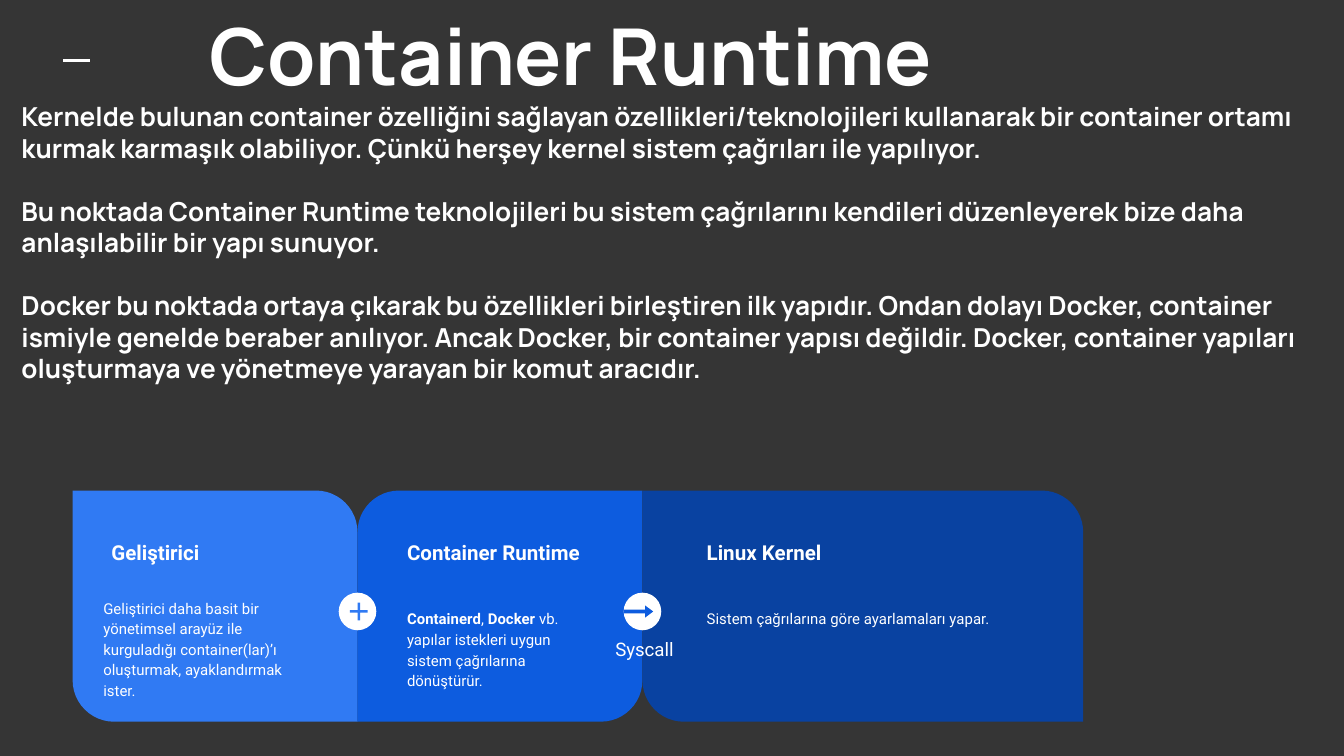
from itertools import accumulate

from lxml import etree
from pptx import Presentation
from pptx.dml.color import RGBColor
from pptx.enum.shapes import MSO_CONNECTOR, MSO_SHAPE
from pptx.enum.text import MSO_ANCHOR, MSO_AUTO_SIZE, PP_ALIGN
from pptx.oxml.ns import qn
from pptx.util import Inches, Pt

STRAIGHT = MSO_CONNECTOR.STRAIGHT
CARD = MSO_SHAPE.ROUND_2_DIAG_RECTANGLE
CIRCLE = MSO_SHAPE.OVAL
ARROW = MSO_SHAPE.RIGHT_ARROW
PLUS = MSO_SHAPE.MATH_PLUS
TOP = MSO_ANCHOR.TOP
LEFT = PP_ALIGN.LEFT
NO_AUTOFIT = MSO_AUTO_SIZE.NONE

WHITE, CHARCOAL = "FFFFFF", "353535"
LIGHT_BLUE, MID_BLUE, NAVY = "307AF3", "0D5CDF", "0942A1"

SLIDE_WIDTH = 10
SLIDE_HEIGHT = SLIDE_WIDTH * 9 / 16
CARDS_LEFT, CARDS_TOP, CARD_HEIGHT = 0.54, 3.65, 1.72
CARD_WIDTHS = (2.12, 2.12, 3.28)
CARD_LEFTS = list(accumulate(CARD_WIDTHS[:-1], initial=CARDS_LEFT))
HEADING_TOP = 3.92
BADGE_MIDDLE, BADGE_SIZE = 4.55, 0.28
ROUNDING = 0.18

HEADING = "Container Runtime"
EXPLANATION = (
    "Kernelde bulunan container özelliğini sağlayan özellikleri/teknolojileri kullanarak bir "
    "container ortamı kurmak karmaşık olabiliyor. Çünkü herşey kernel sistem çağrıları ile yapılıyor.",
    "Bu noktada Container Runtime teknolojileri bu sistem çağrılarını kendileri düzenleyerek "
    "bize daha anlaşılabilir bir yapı sunuyor.",
    "Docker bu noktada ortaya çıkarak bu özellikleri birleştiren ilk yapıdır. Ondan dolayı Docker, "
    "container ismiyle genelde beraber anılıyor. Ancak Docker, bir container yapısı değildir. "
    "Docker, container yapıları oluşturmaya ve yönetmeye yarayan bir komut aracıdır.",
)

STAGES = (
    dict(color=LIGHT_BLUE, corners=(0, ROUNDING), heading="Geliştirici",
         heading_box=(0.73, 1.64), detail_box=(0.67, 4.34, 1.78),
         detail=[("Geliştirici daha basit bir yönetimsel arayüz ile kurguladığı "
                  "container(lar)’ı oluşturmak, ayaklandırmak ister.", False)]),
    dict(color=MID_BLUE, corners=(ROUNDING, 0), heading="Container Runtime",
         heading_box=(2.93, 1.59), detail_box=(2.93, 4.42, 1.59),
         detail=[("Containerd", True), (", ", False), ("Docker ", True),
                 ("vb. yapılar istekleri uygun sistem çağrılarına dönüştürür.", False)]),
    dict(color=NAVY, corners=(0, ROUNDING), heading="Linux Kernel",
         heading_box=(5.16, 2.64), detail_box=(5.16, 4.42, 2.64),
         detail=[("Sistem çağrılarına göre ayarlamaları yapar.", False)]),
)


def rgb(value):
    """Turn a hex string into a colour."""
    return RGBColor.from_string(value)


def write(paragraph, runs, size, font="Roboto", color=WHITE, spacing=1.0, before=0, indent=0):
    """Fill a paragraph with (text, bold) runs in one format."""
    properties = paragraph._p.get_or_add_pPr()
    properties.set("marL", str(Inches(indent)))
    properties.set("indent", "0")
    paragraph.alignment = LEFT
    paragraph.line_spacing = spacing
    paragraph.space_before = Pt(before)
    for text, bold in runs:
        run = paragraph.add_run()
        run.text = text
        run.font.name, run.font.size, run.font.bold = font, Pt(size), bold
        run.font.color.rgb = rgb(color)


def prepare_frame(frame):
    """Give a text frame wrapping, top anchoring and even insets."""
    frame.word_wrap = True
    frame.auto_size = NO_AUTOFIT
    frame.vertical_anchor = TOP
    frame.margin_left = frame.margin_right = Inches(0.1)
    frame.margin_top = frame.margin_bottom = Inches(0.1)


def add_label(slide, left, top, width, height, runs, size, **style):
    """Add a one-paragraph text box."""
    box = slide.shapes.add_textbox(*map(Inches, (left, top, width, height)))
    prepare_frame(box.text_frame)
    write(box.text_frame.paragraphs[0], runs, size, **style)


def add_solid(slide, kind, left, top, width, height, color, adjustments=()):
    """Add a flat filled shape without outline."""
    shape = slide.shapes.add_shape(kind, *map(Inches, (left, top, width, height)))
    shape.shadow.inherit = False
    shape.fill.solid()
    shape.fill.fore_color.rgb = rgb(color)
    shape.line.fill.background()
    for index, value in enumerate(adjustments):
        shape.adjustments[index] = value


def add_dash(slide):
    """Add the short accent line beside the title."""
    dash = slide.shapes.add_connector(STRAIGHT, *map(Inches, (0.47, 0.45, 0.67, 0.45)))
    dash.line.color.rgb = rgb(WHITE)
    dash.line.width = Pt(1.5)
    etree.SubElement(dash._element.spPr, qn("a:effectLst"))


def fill_title(slide):
    """Put the heading and the explanation into the title placeholder."""
    title = slide.shapes.title
    title.left, title.top, title.width, title.height = map(Inches, (0.06, -0.05, 9.87, 3.12))
    frame = title.text_frame
    prepare_frame(frame)
    write(frame.paragraphs[0], [(HEADING, True)], 42, font="Manrope", indent=1.4)
    for index, text in enumerate(EXPLANATION):
        write(frame.add_paragraph(), [(text, True)], 14, font="Manrope", before=17 if index else 0)


def add_stage(slide, left, width, stage):
    """Add one card with its heading and detail."""
    add_solid(slide, CARD, left, CARDS_TOP, width, CARD_HEIGHT, stage["color"], stage["corners"])
    heading_left, heading_width = stage["heading_box"]
    add_label(slide, heading_left, HEADING_TOP, heading_width, 0.5, [(stage["heading"], True)], 11)
    add_label(slide, *stage["detail_box"], 0.56, stage["detail"], 8, spacing=1.15)


def add_badge(slide, seam, kind, offset, width, height, color, adjustments):
    """Add a white circle with a symbol on the seam of two cards."""
    half = BADGE_SIZE / 2
    add_solid(slide, CIRCLE, seam - half, BADGE_MIDDLE - half, BADGE_SIZE, BADGE_SIZE, WHITE)
    add_solid(slide, kind, seam + offset - width / 2, BADGE_MIDDLE - height / 2,
              width, height, color, adjustments)


def main():
    """Build the slide and save it."""
    deck = Presentation()
    deck.slide_width, deck.slide_height = Inches(SLIDE_WIDTH), Inches(SLIDE_HEIGHT)
    slide = deck.slides.add_slide(deck.slide_layouts[5])
    slide.background.fill.solid()
    slide.background.fill.fore_color.rgb = rgb(CHARCOAL)
    add_dash(slide)
    fill_title(slide)
    for left, width, stage in zip(CARD_LEFTS, CARD_WIDTHS, STAGES):
        add_stage(slide, left, width, stage)
    runtime_seam, kernel_seam = CARD_LEFTS[1:]
    add_badge(slide, kernel_seam, ARROW, -0.03, 0.22, 0.09, MID_BLUE, (0.32, 0.67))
    add_badge(slide, runtime_seam, PLUS, 0.01, 0.18, 0.18, LIGHT_BLUE, (0.1,))
    add_label(slide, 4.48, 4.62, 2.64, 0.56, [("Syscall", False)], 10, spacing=1.15)
    deck.save("out.pptx")


if __name__ == "__main__":
    main()
